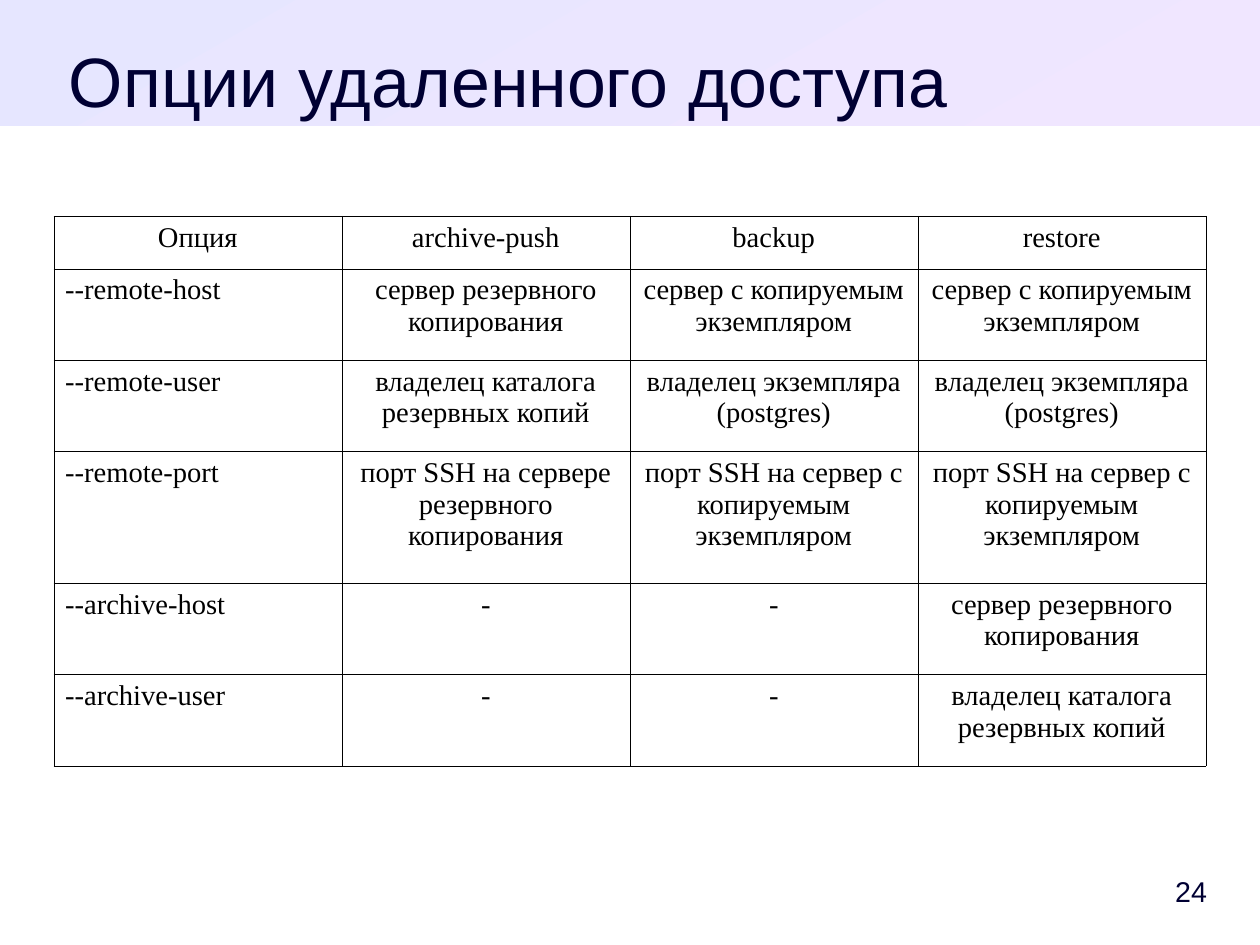
from pptx import Presentation
from pptx.dml.color import RGBColor
from pptx.enum.shapes import MSO_SHAPE
from pptx.enum.text import MSO_ANCHOR, MSO_AUTO_SIZE, PP_ALIGN as Align
from pptx.oxml import parse_xml
from pptx.oxml.ns import nsdecls
from pptx.util import Inches, Pt

NAVY = "000033"
BLACK = "000000"
CM_PER_INCH = 2.54
BORDER_WIDTH = Pt(0.06)
COLUMN_WIDTH = 2.52
ROW_HEIGHTS = [0.46, 0.8, 0.8, 1.15, 0.8, 0.8]
BACKUP_SERVER = "сервер резервного копирования"
INSTANCE_SERVER = "сервер с копируемым экземпляром"
CATALOG_OWNER = "владелец каталога резервных копий"
INSTANCE_OWNER = "владелец экземпляра (postgres)"
BACKUP_PORT = "порт SSH на сервере резервного копирования"
INSTANCE_PORT = "порт SSH на сервер с копируемым экземпляром"
OPTIONS = [
    ["Опция", "archive-push", "backup", "restore"],
    ["--remote-host", BACKUP_SERVER, INSTANCE_SERVER, INSTANCE_SERVER],
    ["--remote-user", CATALOG_OWNER, INSTANCE_OWNER, INSTANCE_OWNER],
    ["--remote-port", BACKUP_PORT, INSTANCE_PORT, INSTANCE_PORT],
    ["--archive-host", "-", "-", BACKUP_SERVER],
    ["--archive-user", "-", "-", CATALOG_OWNER],
]


def color(value):
    """Turn a hex string into a colour."""
    return RGBColor.from_string(value)


def write(frame, text, font, size, hex_color, align):
    """Put one formatted paragraph into a text frame."""
    frame.text = text
    paragraph = frame.paragraphs[0]
    paragraph.alignment = align
    paragraph.font.name = font
    paragraph.font.size = Pt(size)
    paragraph.font.color.rgb = color(hex_color)


def set_margins(frame, left, top, right, bottom):
    """Set the four insets of a text frame in inches."""
    frame.margin_left, frame.margin_top = Inches(left), Inches(top)
    frame.margin_right, frame.margin_bottom = Inches(right), Inches(bottom)


def place_title(slide, text):
    """Move, fill and format the title placeholder."""
    title = slide.shapes.title
    title.left, title.top = Inches(0.55), Inches(0.33)
    title.width, title.height = Inches(7.8), Inches(0.68)
    frame = title.text_frame
    write(frame, text, "Arial", 44, NAVY, Align.CENTER)
    set_margins(frame, 0, 0, 0, 0)
    frame.vertical_anchor = MSO_ANCHOR.TOP
    frame.auto_size = MSO_AUTO_SIZE.NONE
    frame.word_wrap = True


def add_header_band(slide, width):
    """Add the gradient band behind the title."""
    band = slide.shapes.add_shape(MSO_SHAPE.RECTANGLE, 0, 0, width, Inches(1.1))
    band.shadow.inherit = False
    band.line.fill.background()
    band.fill.gradient()
    band.fill.gradient_angle = 300
    for stop, position, value in zip(band.fill.gradient_stops, (0, 1), ("E6E6FF", "F0E6FF")):
        stop.position = position
        stop.color.rgb = color(value)
    slide.shapes.title.element.addprevious(band.element)


def add_page_number(slide, number):
    """Add the page number at the lower right."""
    box = slide.shapes.add_textbox(Inches(9.69), Inches(7.56), Inches(0.87), Inches(0.47))
    frame = box.text_frame
    frame.word_wrap = False
    frame.auto_size = MSO_AUTO_SIZE.SHAPE_TO_FIT_TEXT
    frame.vertical_anchor = MSO_ANCHOR.MIDDLE
    set_margins(frame, 0.1, 0.05, 0, 0.05)
    write(frame, number, "Arial", 18, NAVY, Align.RIGHT)


def add_borders(cell):
    """Draw thin black lines on the four sides of a cell."""
    properties = cell._tc.get_or_add_tcPr()
    for index, side in enumerate(("lnL", "lnR", "lnT", "lnB")):
        line = parse_xml(f'<a:{side} {nsdecls("a")} w="{BORDER_WIDTH}"><a:solidFill>'
                         f'<a:srgbClr val="{BLACK}"/></a:solidFill></a:{side}>')
        properties.insert(index, line)


def add_options_table(slide, rows):
    """Add the bordered table of options."""
    count = len(rows[0])
    frame = slide.shapes.add_table(
        len(rows), count, Inches(0.47), Inches(1.89),
        Inches(COLUMN_WIDTH * count), Inches(sum(ROW_HEIGHTS)))
    table = frame.table
    table.first_row = table.horz_banding = False
    for column in table.columns:
        column.width = Inches(COLUMN_WIDTH)
    for row_index, texts in enumerate(rows):
        table.rows[row_index].height = Inches(ROW_HEIGHTS[row_index])
        for column_index, text in enumerate(texts):
            cell = table.cell(row_index, column_index)
            is_option = row_index > 0 and column_index == 0
            align = Align.LEFT if is_option else Align.CENTER
            write(cell.text_frame, text, "Times New Roman", 18, BLACK, align)
            set_margins(cell, 0.1, 0.05, 0.1, 0.05)
            cell.fill.background()
            add_borders(cell)


def main():
    """Build and save the slide."""
    presentation = Presentation()
    presentation.slide_width = Inches(28 / CM_PER_INCH)
    presentation.slide_height = Inches(21 / CM_PER_INCH)
    slide = presentation.slides.add_slide(presentation.slide_layouts[5])
    place_title(slide, "Опции удаленного доступа")
    add_header_band(slide, presentation.slide_width)
    add_page_number(slide, "24")
    add_options_table(slide, OPTIONS)
    presentation.save("out.pptx")


if __name__ == "__main__":
    main()
